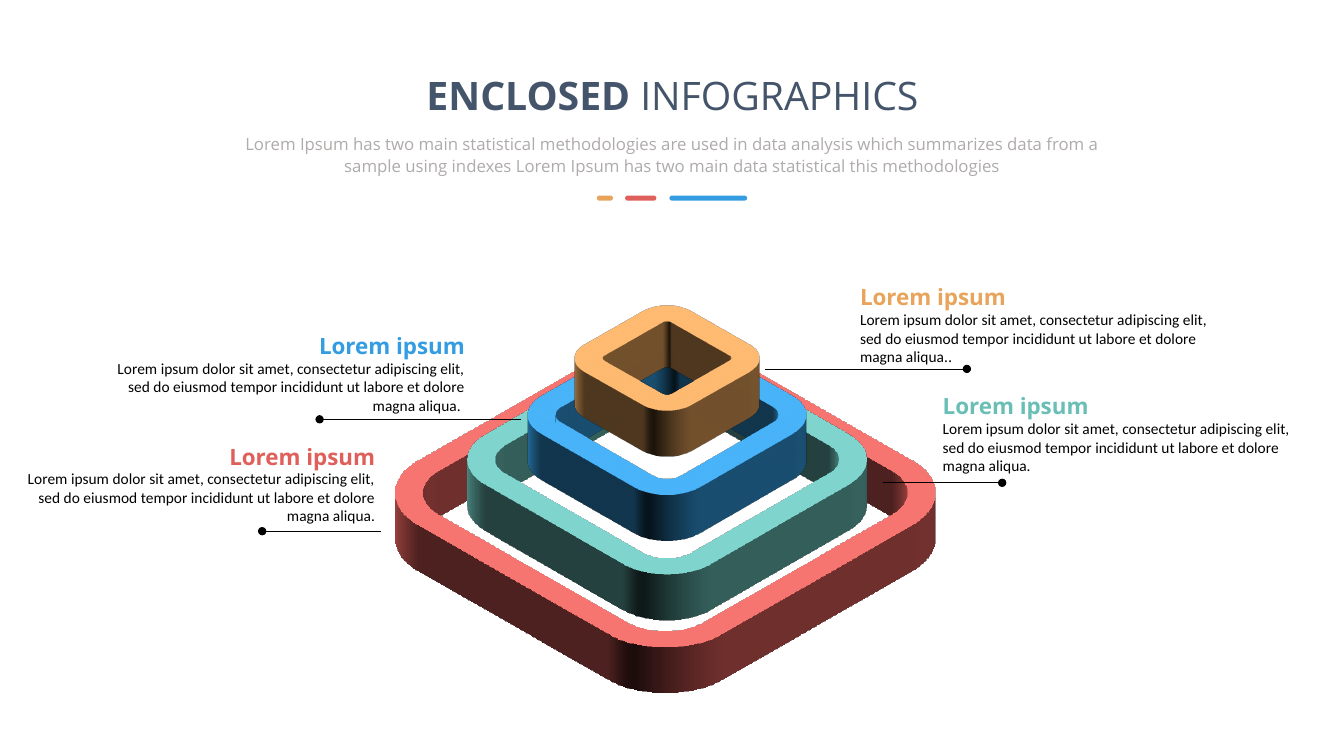
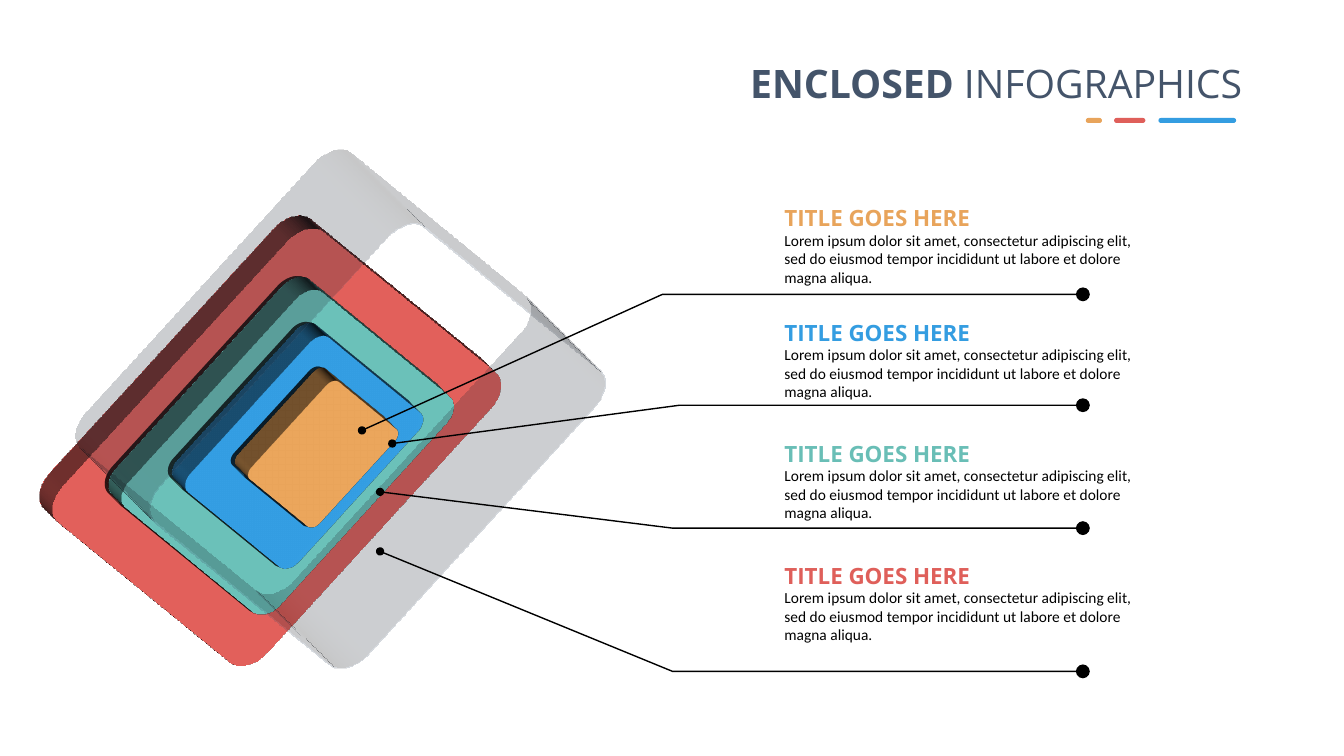
"""Build two slides of nested isometric squares with callouts."""
from dataclasses import dataclass

import pptx
import pptx.dml.color
import pptx.enum.shapes
import pptx.enum.text
import pptx.oxml.ns
import pptx.util
from lxml import etree

Inches = pptx.util.Inches
Pt = pptx.util.Pt
qn = pptx.oxml.ns.qn
Align = pptx.enum.text.PP_ALIGN
Anchor = pptx.enum.text.MSO_ANCHOR
ROUNDED = pptx.enum.shapes.MSO_SHAPE.ROUNDED_RECTANGLE
Point = tuple[float, float]

COLORS = {
    "red": "DF5F5A", "teal": "69BEB6", "blue": "349DE1", "gold": "E8A45B",
    "navy": "44546A", "gray": "AFABAB", "black": "000000",
}
HEADING_FONT = "Open Sans"
BODY_FONT = "Calibri"
LOREM = ("Lorem ipsum dolor sit amet, consectetur adipiscing elit, "
         "sed do eiusmod tempor incididunt ut labore et dolore magna aliqua.")
SUBTITLE = ("Lorem Ipsum has two main statistical methodologies are used in data "
            "analysis which summarizes data from a sample using indexes Lorem Ipsum "
            "has two main data statistical this methodologies")


@dataclass(frozen=True)
class View:
    """Camera, its turn in degrees, and the surface it lights."""
    camera: str
    material: str
    turn: tuple[float, float, float] | None = None


@dataclass(frozen=True)
class Square:
    """A rounded square that is extruded in depth."""
    color: str
    left: float
    top: float
    side: float


@dataclass(frozen=True)
class Callout:
    """A heading with body text and its leader line."""
    color: str
    left: float
    top: float
    leader: list[Point]
    align: Align = Align.LEFT
    suffix: str = ""


RING_VIEW = View("isometricTopUp", "warmMatte")
SLAB_VIEW = View("orthographicFront", "matte", (312, 355.7, 5.75))
RING_DEPTH, SLAB_DEPTH, GLASS_DEPTH = 40, 18, 100

RINGS = [
    Square("red", 4.61, 2.9, 3.98), Square("teal", 5.17, 3.11, 2.89),
    Square("blue", 5.64, 3.14, 1.95), Square("gold", 6.01, 2.95, 1.21),
]
SLABS = [
    Square("red", .79, 2.48, 3.91), Square("teal", 1.41, 3.04, 2.89),
    Square("blue", 1.98, 3.45, 2.07), Square("gold", 2.55, 3.85, 1.31),
]
GLASS = Square("navy", 1.76, 2.44, 3.97)

RING_CALLOUTS = [
    Callout("teal", 9.35, 3.89, [(9.94, 4.79), (8.76, 4.79)]),
    Callout("red", .2, 4.39, [(2.6, 5.27), (3.78, 5.27)], Align.RIGHT),
    Callout("gold", 8.53, 2.81, [(9.59, 3.66), (7.59, 3.66)], suffix="."),
    Callout("blue", 1.09, 3.29, [(3.17, 4.16), (5.17, 4.16)], Align.RIGHT, " "),
]
SLAB_CALLOUTS = [
    Callout("gold", 7.78, 2.02, [(10.74, 2.92), (6.57, 2.92), (3.59, 4.27)]),
    Callout("blue", 7.78, 3.16, [(10.74, 4.02), (6.74, 4.02), (3.89, 4.4)]),
    Callout("teal", 7.78, 4.36, [(10.74, 5.24), (6.67, 5.24), (3.77, 4.88)]),
    Callout("red", 7.78, 5.57, [(10.74, 6.66), (6.67, 6.66), (3.77, 5.47)]),
]


def rgb(name: str) -> pptx.dml.color.RGBColor:
    return pptx.dml.color.RGBColor.from_string(COLORS[name])


def add_rounded(parent, left: float, top: float, width: float, height: float):
    shape = parent.shapes.add_shape(ROUNDED, Inches(left), Inches(top),
                                    Inches(width), Inches(height))
    shape.shadow.inherit = False
    return shape


def fill_plain(shape, color: str) -> None:
    shape.fill.solid()
    shape.fill.fore_color.rgb = rgb(color)
    shape.line.fill.background()


def stroke_only(shape, color: str, weight: float) -> None:
    shape.fill.background()
    shape.line.color.rgb = rgb(color)
    shape.line.width = Pt(weight)


def extrude(shape, view: View, depth: float) -> None:
    scene = etree.SubElement(shape.element.spPr, qn("a:scene3d"))
    camera = etree.SubElement(scene, qn("a:camera"), prst=view.camera)
    if view.turn:
        turns = {name: str(round(angle * 60000))
                 for name, angle in zip(("lat", "lon", "rev"), view.turn)}
        etree.SubElement(camera, qn("a:rot"), **turns)
    etree.SubElement(scene, qn("a:lightRig"), rig="threePt", dir="t")
    etree.SubElement(shape.element.spPr, qn("a:sp3d"), extrusionH=str(Pt(depth)),
                     prstMaterial=view.material)


def cast_shadow(shape) -> None:
    effects = shape.element.spPr.find(qn("a:effectLst"))
    shadow = etree.SubElement(effects, qn("a:outerShdw"), blurRad=str(Pt(9)),
                              dist=str(Pt(3)), dir=str(194 * 60000), rotWithShape="0")
    tint = etree.SubElement(shadow, qn("a:srgbClr"), val=COLORS["black"])
    etree.SubElement(tint, qn("a:alpha"), val="56000")


def draw_ring(page, ring: Square) -> None:
    shape = add_rounded(page, ring.left, ring.top, ring.side, ring.side)
    stroke_only(shape, ring.color, 20)
    extrude(shape, RING_VIEW, RING_DEPTH)


def add_turned(group, square: Square):
    shape = add_rounded(group, square.left, square.top, square.side, square.side)
    shape.adjustments[0] = .08
    shape.rotation = 135
    return shape


def draw_slabs(page) -> None:
    group = page.shapes.add_group_shape()
    for index, slab in enumerate(SLABS):
        shape = add_turned(group, slab)
        fill_plain(shape, slab.color)
        if index:
            cast_shadow(shape)
        extrude(shape, SLAB_VIEW, SLAB_DEPTH)
    glass = add_turned(group, GLASS)
    stroke_only(glass, GLASS.color, 1)
    tint = next(glass.element.spPr.find(qn("a:ln")).iter(qn("a:srgbClr")))
    etree.SubElement(tint, qn("a:alpha"), val="23000")
    extrude(glass, SLAB_VIEW, GLASS_DEPTH)


def draw_leader(page, points: list[Point], weight: float) -> None:
    places = [(Inches(x), Inches(y)) for x, y in points]
    if len(places) == 2:
        line = page.shapes.add_connector(pptx.enum.shapes.MSO_CONNECTOR.STRAIGHT,
                                         *places[0], *places[1])
        tips = [("headEnd", "med")]
    else:
        builder = page.shapes.build_freeform(*places[0])
        builder.add_line_segments(places[1:], close=False)
        line = builder.convert_to_shape()
        line.fill.background()
        tips = [("headEnd", "lg"), ("tailEnd", "med")]
    line.line.color.rgb = rgb("black")
    line.line.width = Pt(weight)
    properties = line.element.spPr
    for tip, size in tips:
        etree.SubElement(properties.find(qn("a:ln")), qn(f"a:{tip}"),
                         type="oval", w=size, len=size)
    etree.SubElement(properties, qn("a:effectLst"))


def add_span(para, text: str, *, size: float, color: str, font: str = HEADING_FONT,
             bold: bool = False) -> None:
    span = para.add_run()
    span.text = text
    span.font.size = Pt(size)
    span.font.name = font
    span.font.bold = bold
    span.font.color.rgb = rgb(color)


def add_box(page, left: float, top: float, width: float, height: float, *,
            inset: Point = (0, 0), anchor: Anchor = Anchor.TOP):
    box = page.shapes.add_textbox(Inches(left), Inches(top), Inches(width), Inches(height))
    frame = box.text_frame
    frame.word_wrap = True
    frame.auto_size = pptx.enum.text.MSO_AUTO_SIZE.SHAPE_TO_FIT_TEXT
    frame.vertical_anchor = anchor
    frame.margin_left = frame.margin_right = Inches(inset[0])
    frame.margin_top = frame.margin_bottom = Inches(inset[1])
    return frame.paragraphs[0]


def draw_callout(page, callout: Callout, heading: str) -> None:
    para = add_box(page, callout.left, callout.top, 3.52, .82, anchor=Anchor.MIDDLE)
    para.alignment = callout.align
    para.space_after = Pt(12)
    add_span(para, heading, size=16, color=callout.color, bold=True)
    para.add_line_break()
    add_span(para, LOREM, size=11, color="black", font=BODY_FONT)
    if callout.suffix:
        add_span(para, callout.suffix, size=11, color="black")


def draw_callouts(page, callouts: list[Callout], heading: str, weight: float) -> None:
    for callout in callouts:
        draw_leader(page, callout.leader, weight)
    for callout in callouts:
        draw_callout(page, callout, heading)


def draw_title(page, left: float, top: float, align: Align) -> None:
    title = page.shapes.title
    title.left, title.top = Inches(left), Inches(top)
    title.width, title.height = Inches(5.12), Inches(.57)
    title.text_frame.vertical_anchor = Anchor.TOP
    title.text_frame.word_wrap = True
    para = title.text_frame.paragraphs[0]
    para.alignment = align
    para.line_spacing = 1.0
    para.space_before = Pt(0)
    add_span(para, "ENCLOSED", size=28, color="navy", bold=True)
    add_span(para, " INFOGRAPHICS", size=28, color="navy")


def draw_dashes(page, left: float, top: float) -> None:
    group = page.shapes.add_group_shape()
    for color, offset, width in [("blue", .72, .77), ("red", .28, .31), ("gold", 0, .16)]:
        dash = add_rounded(group, left + offset, top, width, .05)
        dash.adjustments[0] = .5
        fill_plain(dash, color)


def build_rings(page) -> None:
    for ring in RINGS:
        draw_ring(page, ring)
    draw_callouts(page, RING_CALLOUTS, "Lorem ipsum", .5)
    draw_title(page, 4.11, .66, Align.CENTER)
    draw_dashes(page, 5.92, 1.94)
    para = add_box(page, 2.06, 1.25, 9.22, .57, inset=(.12, .06))
    para.alignment = Align.CENTER
    para.line_spacing = 1.1
    add_span(para, SUBTITLE, size=12, color="gray")


def build_slabs(page) -> None:
    draw_slabs(page)
    draw_callouts(page, SLAB_CALLOUTS, "TITLE GOES HERE", 1)
    draw_title(page, 7.3, .54, Align.RIGHT)
    draw_dashes(page, 10.77, 1.17)


def main() -> None:
    deck = pptx.Presentation()
    deck.slide_width, deck.slide_height = Inches(13.33), Inches(7.5)
    for build in (build_rings, build_slabs):
        build(deck.slides.add_slide(deck.slide_layouts[5]))
    deck.save("out.pptx")


if __name__ == "__main__":
    main()
